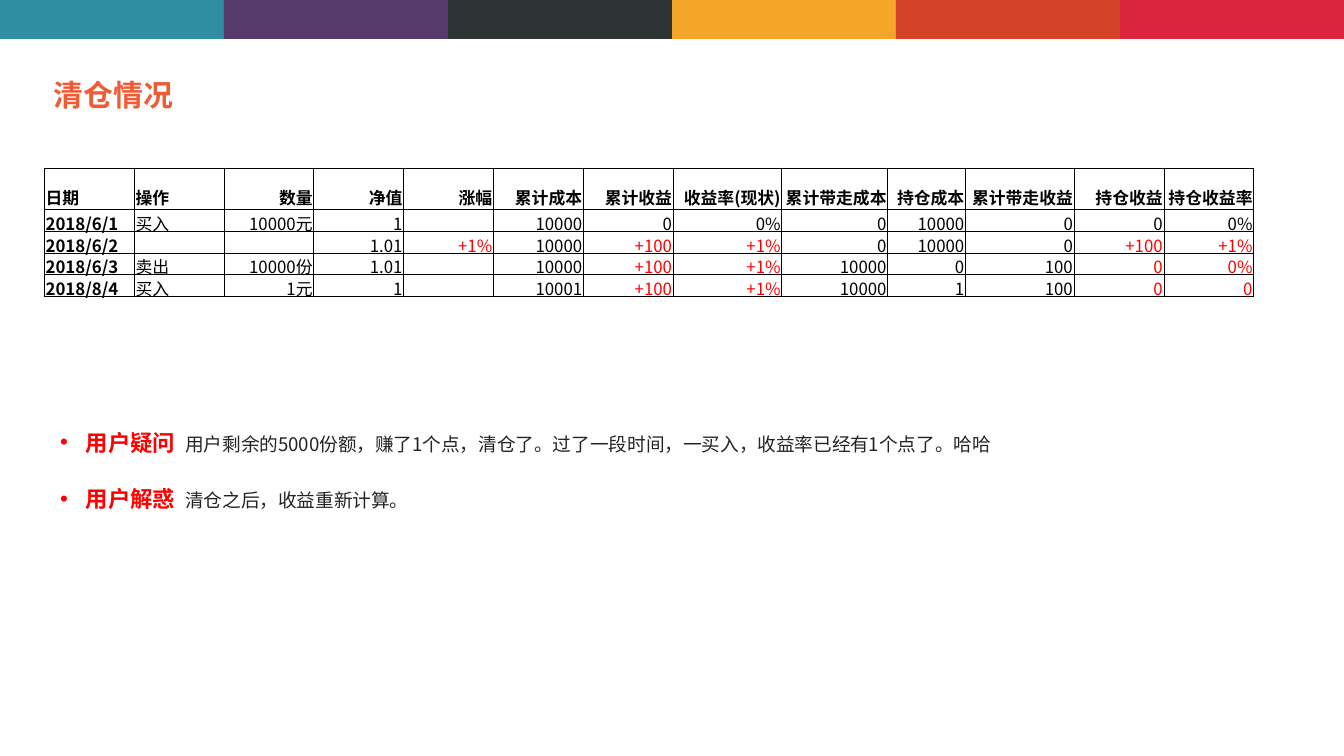
from lxml.etree import SubElement
from pptx import Presentation
from pptx.dml.color import RGBColor
from pptx.enum.shapes import MSO_SHAPE
from pptx.enum.text import MSO_ANCHOR, PP_ALIGN
from pptx.oxml.ns import qn
from pptx.util import Inches, Pt

FONT = "Noto Sans CJK SC"
COLORS = {
    "title": "EF5B35", "red": "FF0000", "black": "000000", "body": "242424",
}
BAND = ["308DA2", "553A6C", "2C3533", "F4A628", "D34328", "DC243F"]

COLUMN_SHARES = [0.67] * 7 + [0.81, 0.79, 0.58, 0.81, 0.67, 0.67]
ROW_HEIGHTS = [0.31] + [0.16] * 4
FIRST_NUMBER_COLUMN = 2
FIRST_HOLDING_GAIN_COLUMN = 11
HOLDINGS = [
    ["日期", "操作", "数量", "净值", "涨幅", "累计成本", "累计收益", "收益率(现状)",
     "累计带走成本", "持仓成本", "累计带走收益", "持仓收益", "持仓收益率"],
    ["2018/6/1", "买入", "10000元", "1", "", "10000", "0", "0%",
     "0", "10000", "0", "0", "0%"],
    ["2018/6/2", "", "", "1.01", "+1%", "10000", "+100", "+1%",
     "0", "10000", "0", "+100", "+1%"],
    ["2018/6/3", "卖出", "10000份", "1.01", "", "10000", "+100", "+1%",
     "10000", "0", "100", "0", "0%"],
    ["2018/8/4", "买入", "1元", "1", "", "10001", "+100", "+1%",
     "10000", "1", "100", "0", "0"],
]
NOTES = [
    ("用户疑问", "用户剩余的5000份额，赚了1个点，清仓了。过了一段时间，一买入，收益率已经有1个点了。哈哈"),
    ("用户解惑", "清仓之后，收益重新计算。"),
]


def add_run(paragraph, text, size, color, bold=False):
    run = paragraph.add_run()
    run.text = text
    run.font.name = FONT
    run.font.size = Pt(size)
    run.font.bold = bold
    run.font.color.rgb = RGBColor.from_string(COLORS[color])
    # East Asian characters take their own typeface
    SubElement(run.font._element, qn("a:ea"), typeface=FONT)


def add_band(slide, left, top, width, height):
    step = width / len(BAND)
    for index, color in enumerate(BAND):
        block = slide.shapes.add_shape(
            MSO_SHAPE.RECTANGLE, Inches(left + index * step), Inches(top),
            Inches(step), Inches(height))
        block.shadow.inherit = False
        block.fill.solid()
        block.fill.fore_color.rgb = RGBColor.from_string(color)
        block.line.fill.background()


def add_text_frame(slide, left, top, width, height):
    box = slide.shapes.add_textbox(
        Inches(left), Inches(top), Inches(width), Inches(height))
    box.text_frame.word_wrap = True
    return box.text_frame


def add_title(slide, left, top, width, height):
    frame = add_text_frame(slide, left, top, width, height)
    frame.margin_left = frame.margin_right = Inches(0.07)
    frame.margin_top = frame.margin_bottom = Inches(0.04)
    add_run(frame.paragraphs[0], "清仓情况", 16, "title", bold=True)


def add_borders(cell):
    properties = cell._tc.get_or_add_tcPr()
    for position, side in enumerate(("a:lnL", "a:lnR", "a:lnT", "a:lnB")):
        line = properties.makeelement(qn(side), {"w": str(Pt(0.5))})
        fill = SubElement(line, qn("a:solidFill"))
        SubElement(fill, qn("a:srgbClr"), val=COLORS["black"])
        properties.insert(position, line)


def fill_cell(cell, text, row, column):
    cell.fill.background()
    add_borders(cell)
    cell.vertical_anchor = MSO_ANCHOR.BOTTOM
    cell.margin_left = cell.margin_right = cell.margin_top = Inches(0.01)
    cell.margin_bottom = 0
    paragraph = cell.text_frame.paragraphs[0]
    if column >= FIRST_NUMBER_COLUMN:
        paragraph.alignment = PP_ALIGN.RIGHT
    if not text:
        # Keeps an empty cell from stretching its row
        SubElement(paragraph._p, qn("a:endParaRPr"), sz="900")
        return
    is_gain = text.startswith("+") or (
        row >= 2 and column >= FIRST_HOLDING_GAIN_COLUMN)
    add_run(paragraph, text, 9, "red" if is_gain else "black",
            bold=row == 0 or column == 0)


def add_holdings(slide, left, top, width):
    table = slide.shapes.add_table(
        len(ROW_HEIGHTS), len(COLUMN_SHARES), Inches(left), Inches(top),
        Inches(width), Inches(sum(ROW_HEIGHTS))).table
    table.first_row = table.horz_banding = False
    for column, share in zip(table.columns, COLUMN_SHARES):
        column.width = Inches(width * share / sum(COLUMN_SHARES))
    for row, height in zip(table.rows, ROW_HEIGHTS):
        row.height = Inches(height)
    for row, texts in enumerate(HOLDINGS):
        for column, text in enumerate(texts):
            fill_cell(table.cell(row, column), text, row, column)


def add_note(slide, left, top, width, height, label, answer):
    paragraph = add_text_frame(slide, left, top, width, height).paragraphs[0]
    paragraph.alignment = PP_ALIGN.JUSTIFY
    paragraph.line_spacing = 1.5
    # Hanging bullet, with a tab stop between label and answer
    properties = paragraph._p.get_or_add_pPr()
    properties.set("marL", str(Inches(0.2)))
    properties.set("indent", str(Inches(-0.19)))
    SubElement(properties, qn("a:buFont"), typeface="Arial")
    SubElement(properties, qn("a:buChar"), char="•")
    tabs = SubElement(properties, qn("a:tabLst"))
    SubElement(tabs, qn("a:tab"), pos=str(Inches(0.94)), algn="l")
    add_run(paragraph, label + "\t", 12, "red", bold=True)
    add_run(paragraph, answer, 10, "body")


def main():
    deck = Presentation()
    # Widescreen, 16:9
    deck.slide_width = Inches(10)
    deck.slide_height = deck.slide_width * 9 // 16
    slide = deck.slides.add_slide(deck.slide_layouts[6])
    add_band(slide, 0, 0, 10, 0.29)
    add_title(slide, 0.33, 0.53, 5.21, 0.34)
    add_holdings(slide, 0.33, 1.25, 9)
    for index, (label, answer) in enumerate(NOTES):
        add_note(slide, 0.34, 3.04 + index * 0.42, 7.6, 0.39, label, answer)
    deck.save("out.pptx")


if __name__ == "__main__":
    main()
